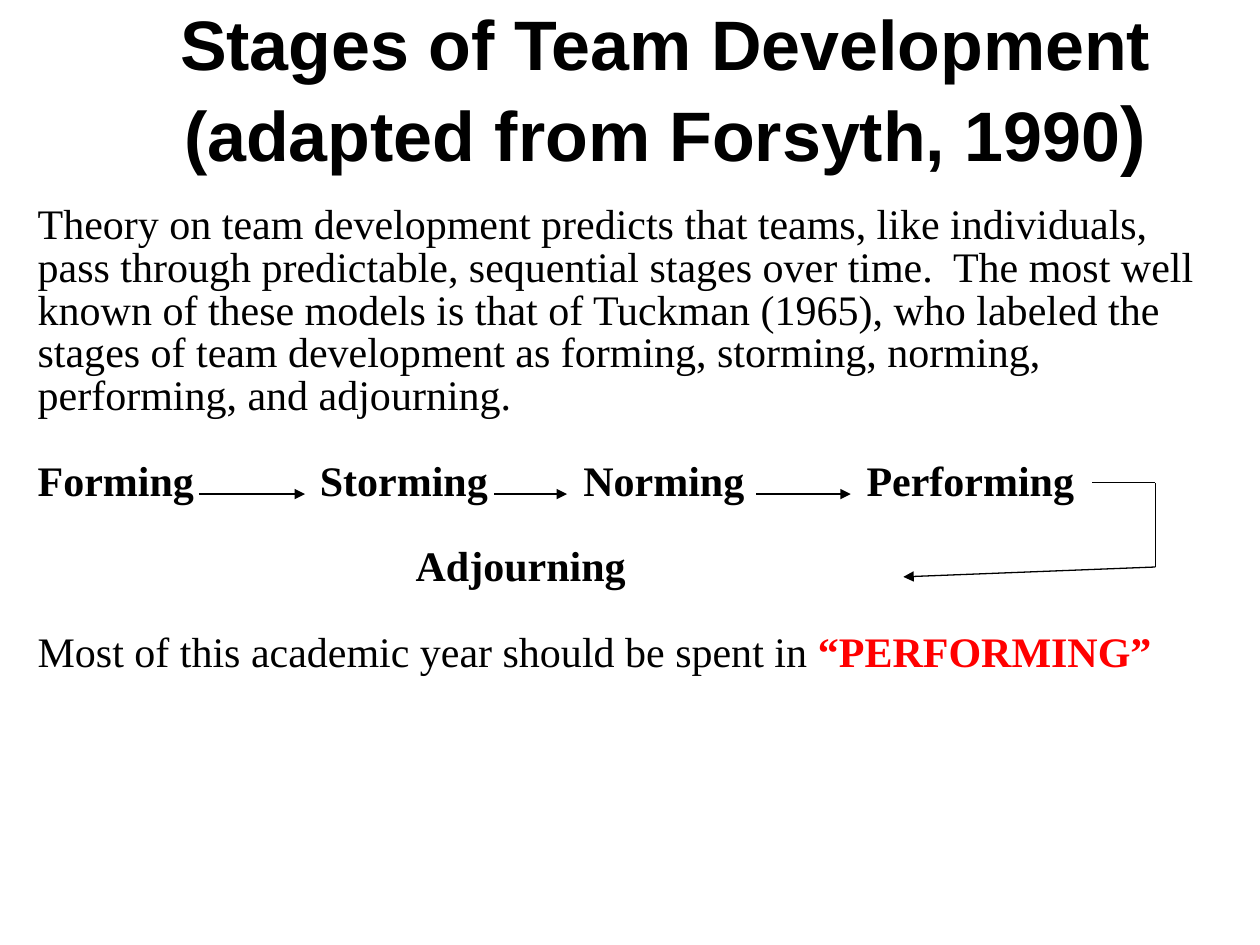
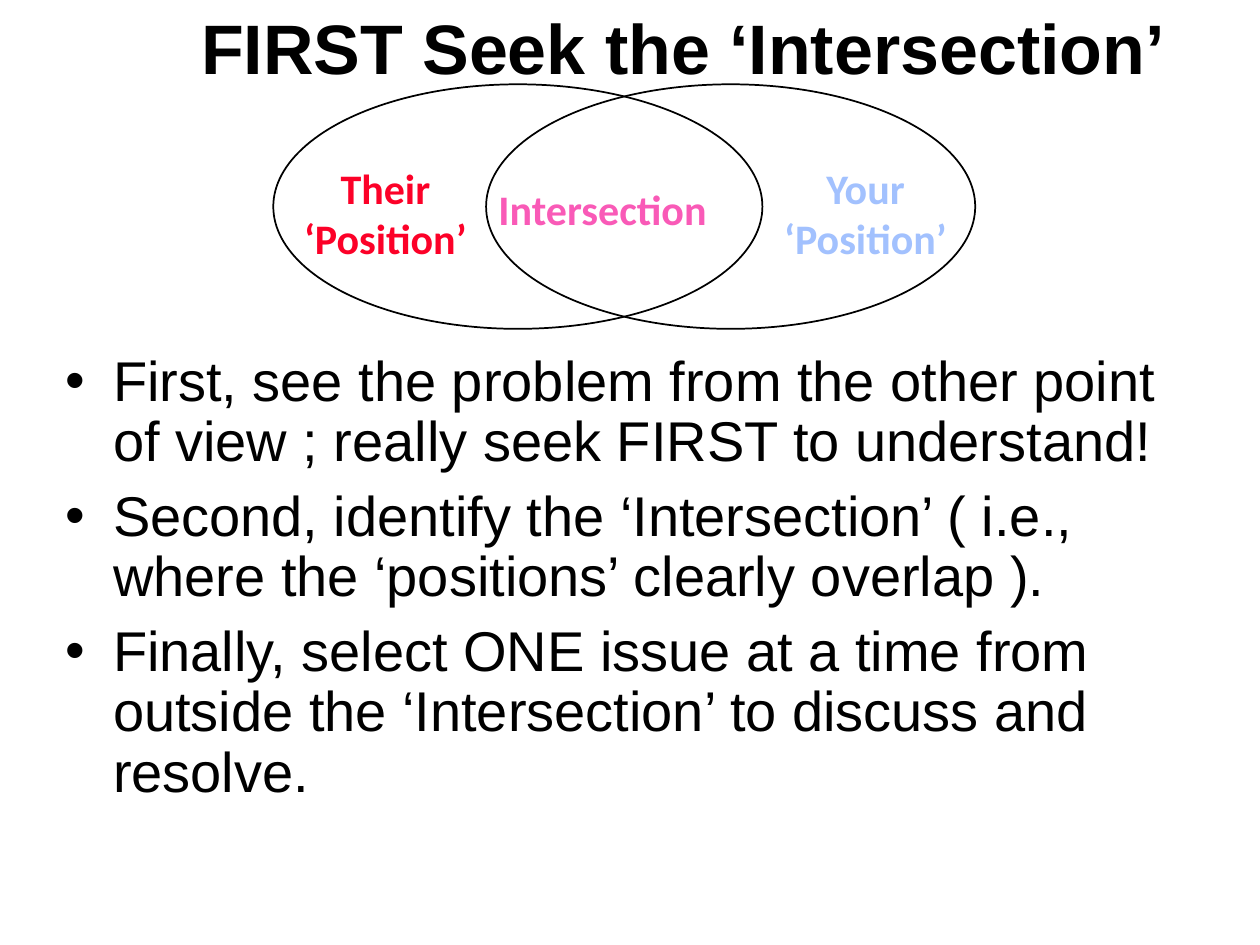
from lxml.etree import SubElement
from pptx import Presentation
from pptx.dml.color import RGBColor
from pptx.enum.shapes import MSO_CONNECTOR, MSO_SHAPE
from pptx.enum.text import MSO_ANCHOR as Anchor, PP_ALIGN as Align
from pptx.oxml.ns import qn
from pptx.util import Cm, Pt

BLACK, RED = "000000", "FF0000"
THEIR_RED, SHARED_PINK, YOUR_BLUE = "FC0128", "F95AB7", "A2C1FE"
TITLE_FONT, SERIF_FONT, LABEL_FONT = "Arial", "Times New Roman", "Calibri"


def color(hex_string):
    return RGBColor.from_string(hex_string)


# Text
def add_bullet(paragraph, indent):
    properties = paragraph._p.get_or_add_pPr()
    properties.set("marL", str(Cm(indent)))
    properties.set("indent", str(-Cm(indent)))
    bullet_color = SubElement(properties, qn("a:buClr"))
    SubElement(bullet_color, qn("a:srgbClr"), val=BLACK)
    SubElement(properties, qn("a:buFont"), typeface=TITLE_FONT)
    SubElement(properties, qn("a:buChar"), char="•")


def add_tabs(paragraph, stops):
    tab_list = SubElement(paragraph._p.get_or_add_pPr(), qn("a:tabLst"))
    for stop in stops:
        SubElement(tab_list, qn("a:tab"), pos=str(Cm(stop)), algn="l")


def add_run(paragraph, text, font, size, ink, bold):
    for index, line in enumerate(text.split("\n")):
        if index:
            paragraph.add_line_break()
        run = paragraph.add_run()
        run.text = line
        run.font.name = font
        run.font.size = Pt(size)
        run.font.bold = bold
        run.font.color.rgb = color(ink)


def add_text(slide, box, paragraphs, font=TITLE_FONT, size=24, ink=BLACK,
             bold=False, align=Align.LEFT, anchor=Anchor.TOP,
             line_spacing=1.0, gap=0, bullet_indent=None, tabs=None):
    """Each paragraph is a list of (text, run format) pairs; tabs maps
    a paragraph's index to its tab stops."""
    frame = slide.shapes.add_textbox(*map(Cm, box)).text_frame
    frame.word_wrap = True
    frame.vertical_anchor = anchor
    for index, runs in enumerate(paragraphs):
        paragraph = frame.add_paragraph() if index else frame.paragraphs[0]
        if bullet_indent:
            add_bullet(paragraph, bullet_indent)
        if tabs and index in tabs:
            add_tabs(paragraph, tabs[index])
        paragraph.alignment = align
        paragraph.line_spacing = line_spacing
        paragraph.space_before = Pt(gap if index else 0)
        for text, changes in runs:
            run_format = dict(font=font, size=size, ink=ink, bold=bold)
            add_run(paragraph, text, **(run_format | changes))


def add_title(slide, box, runs):
    add_text(slide, box, [runs], size=40, bold=True, align=Align.CENTER,
             anchor=Anchor.BOTTOM)


# Lines and outlines
def add_line(slide, start, end, arrow=False):
    line = slide.shapes.add_connector(
        MSO_CONNECTOR.STRAIGHT, *map(Cm, (*start, *end)))
    line.line.color.rgb = color(BLACK)
    line.line.width = Pt(0.75)
    if arrow:
        SubElement(line.line._get_or_add_ln(), qn("a:tailEnd"),
                   type="triangle")
    SubElement(line._element.spPr, qn("a:effectLst"))


def add_ellipse(slide, box):
    ellipse = slide.shapes.add_shape(MSO_SHAPE.OVAL, *map(Cm, box))
    ellipse.shadow.inherit = False
    ellipse.fill.background()
    ellipse.line.color.rgb = color(BLACK)
    ellipse.line.width = Pt(1)


# Team stages: theory, the row of stages and the way to the last one
def add_stages(slide, box):
    left, top = box[:2]
    theory = (
        "Theory on team development predicts that teams, like individuals, "
        "pass through predictable, sequential stages over time.  The most "
        "well known of these models is that of Tuckman (1965), who labeled "
        "the stages of team development as forming, storming, norming, "
        "performing, and adjourning.")
    strong = dict(bold=True)
    add_text(slide, box, [
        [(theory, {})],
        [("Forming\tStorming\tNorming\tPerforming", strong)],
        [("\tAdjourning", strong)],
        [("Most of this academic year should be spent in ", {}),
         ("“PERFORMING”", dict(bold=True, ink=RED))],
    ], font=SERIF_FONT, line_spacing=0.85, gap=24.4,
        tabs={1: (5.69, 11, 16.71), 2: (7.62,)})

    # Arrows between neighbouring stages
    arrow_y = top + 5.95
    for start, end in ((3.5, 5.64), (9.45, 10.92), (14.73, 16.64)):
        add_line(slide, (left + start, arrow_y), (left + end, arrow_y),
                 arrow=True)

    # Bent way from Performing back to Adjourning
    corners = [(left + x, top + y) for x, y in
               ((21.51, 5.72), (22.78, 5.72), (22.78, 7.42), (17.7, 7.62))]
    for start, end in zip(corners, corners[1:]):
        add_line(slide, start, end, arrow=end == corners[-1])


# Two overlapping positions with their labels
def add_venn(slide, box):
    left, top, width, height = box
    ellipse_width = 2 * height
    for ellipse_left in (left, left + width - ellipse_width):
        add_ellipse(slide, (ellipse_left, top, ellipse_width, height))

    labels = (
        ("Their\n‘Position’", THEIR_RED, (0.1, 1.45, 4.32, 2.29), Align.CENTER),
        ("Intersection", SHARED_PINK, (4.29, 1.88, 5.72, 1.27), Align.LEFT),
        ("Your\n‘Position’", YOUR_BLUE, (9.78, 1.45, 4.32, 2.29), Align.CENTER),
    )
    for text, ink, (x, y, label_width, label_height), align in labels:
        add_text(slide, (left + x, top + y, label_width, label_height),
                 [[(line, {})] for line in text.split("\n")],
                 font=LABEL_FONT, ink=ink, bold=True, align=align)


def add_steps(slide, box):
    steps = (
        "First, see the problem from the other point of view ; "
        "really seek FIRST to understand!",
        "Second, identify the ‘Intersection’ ( i.e., where the "
        "‘positions’ clearly overlap ).",
        "Finally, select ONE issue at a time from outside the "
        "‘Intersection’ to discuss and resolve.",
    )
    add_text(slide, box, [[(step, {})] for step in steps], size=32,
             line_spacing=0.9, gap=8, bullet_indent=0.96)


# Slides
def build_stages_slide(slide):
    add_stages(slide, (0.51, 4.01, 24.26, 9.75))
    add_title(slide, (2.69, 0.51, 21.44, 3.18), [
        ("Stages of Team Development\n(adapted from Forsyth, 1990", {}),
        (")", dict(size=44))])


def build_intersection_slide(slide):
    add_title(slide, (2.15, 0, 23.24, 1.9),
              [("FIRST Seek the ‘Intersection’", {})])
    add_steps(slide, (1.07, 6.99, 23.7, 9.91))
    add_venn(slide, (5.51, 1.7, 14.15, 4.93))


def main():
    presentation = Presentation()
    presentation.slide_width = Cm(25.4)
    presentation.slide_height = Cm(19.05)
    blank = presentation.slide_layouts[6]
    for build in (build_stages_slide, build_intersection_slide):
        build(presentation.slides.add_slide(blank))
    presentation.save("out.pptx")


if __name__ == "__main__":
    main()
